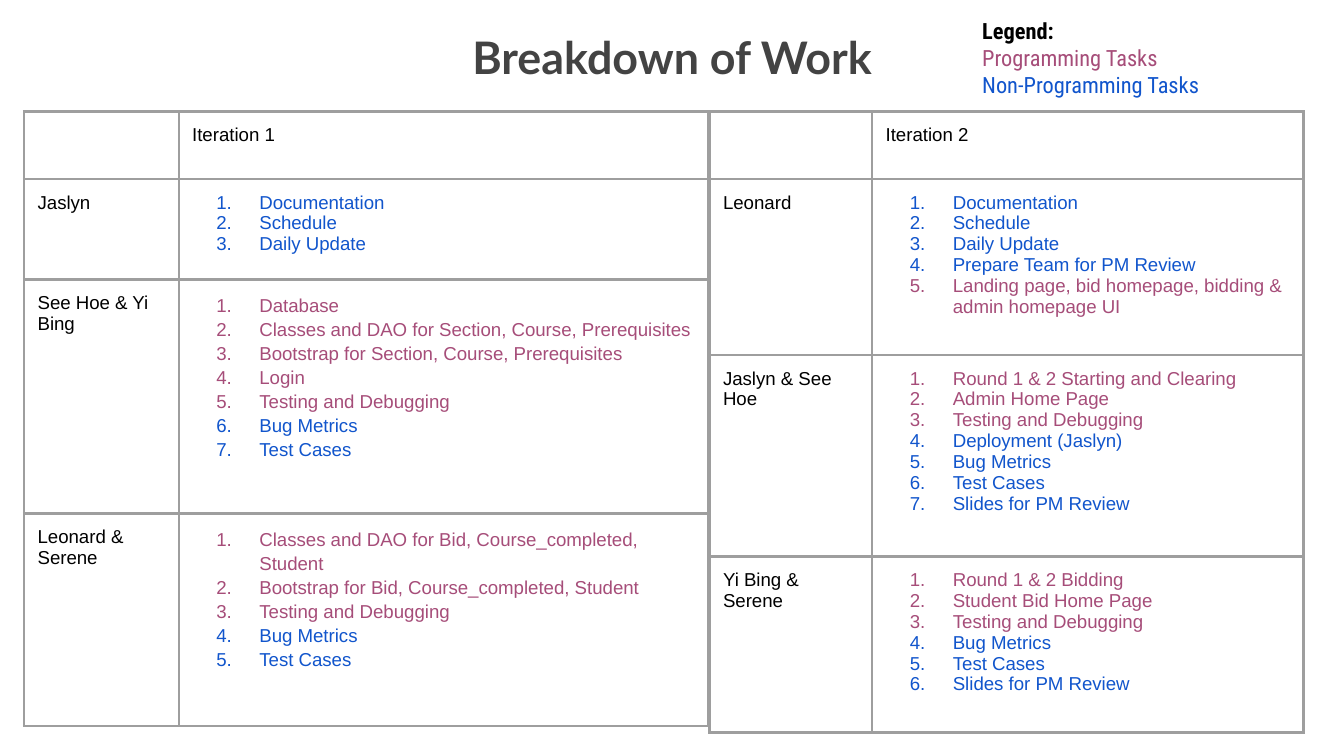
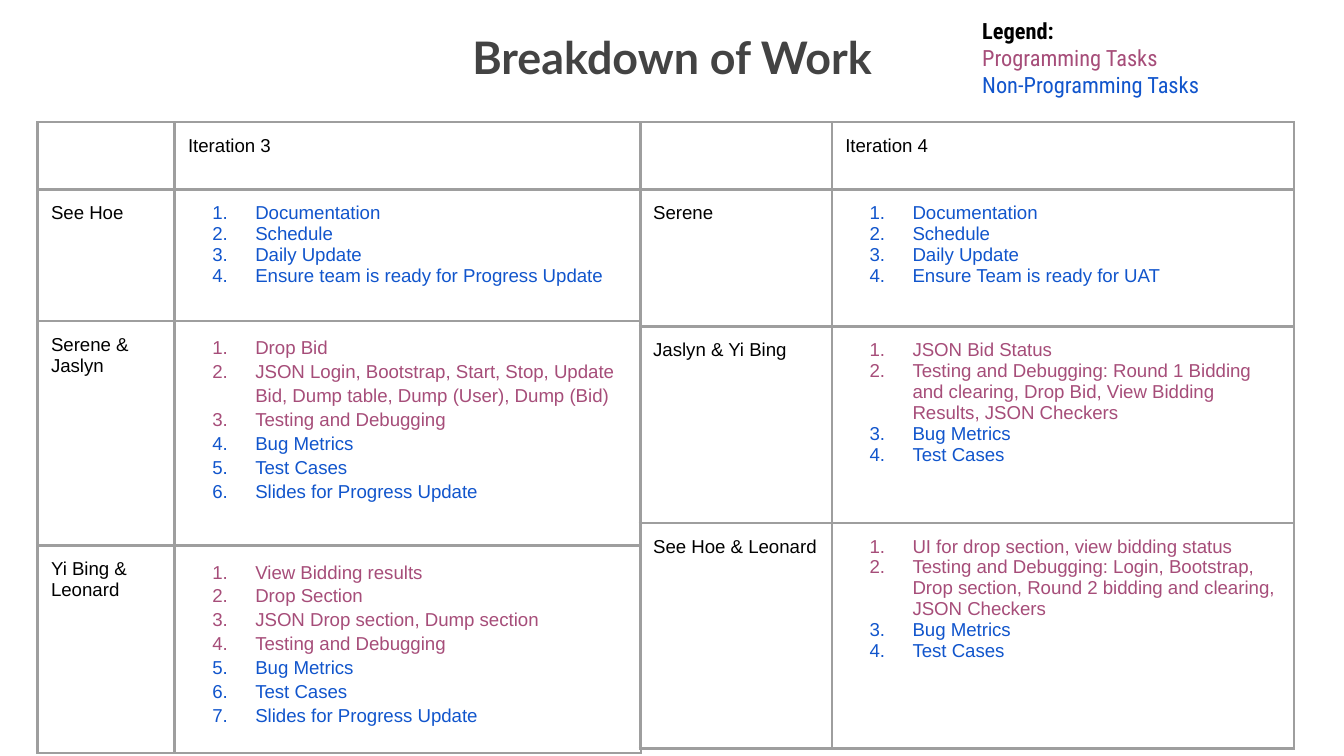
import pptx
import pptx.dml.color
import pptx.enum.text
import pptx.oxml
import pptx.oxml.ns
import pptx.util
import lxml.etree

Inches = pptx.util.Inches
Pt = pptx.util.Pt
qn = pptx.oxml.ns.qn

# Shared colours and measures
BLACK, TITLE, GRID = "000000", "434343", "9E9E9E"
CODE, OTHER = "A64D79", "1155CC"
PAD = Inches(0.1)
FRAME = Inches(3.28)
EDGE = (
    '<a:{side} xmlns:a="http://schemas.openxmlformats.org/drawingml/2006/main" w="19050">'
    '<a:solidFill><a:srgbClr val="{tint}"/></a:solidFill></a:{side}>'
)


def hue(code):
    return pptx.dml.color.RGBColor.from_string(code)


def write(frame, text, size=10, font="Arial", tint=BLACK, bold=False,
          center=False, space=None, number=False):
    """Add one paragraph, filling the first one if it is still empty."""
    para = frame.paragraphs[0]
    if para.runs:
        para = frame.add_paragraph()
    run = para.add_run()
    run.text = text
    run.font.size = Pt(size)
    run.font.name = font
    run.font.bold = bold
    run.font.color.rgb = hue(tint)
    if center:
        para.alignment = pptx.enum.text.PP_ALIGN.CENTER
    if space:
        para.line_spacing = space
    if number:
        props = para._p.get_or_add_pPr()
        props.set("marL", str(Inches(0.5)))
        props.set("indent", str(Inches(-0.32)))
        color = lxml.etree.SubElement(props, qn("a:buClr"))
        lxml.etree.SubElement(color, qn("a:srgbClr"), val=tint)
        lxml.etree.SubElement(props, qn("a:buAutoNum"), type="arabicPeriod")


# Tasks that recur
DAILY = ["Documentation", "Schedule", "Daily Update"]
TESTS = ["Bug Metrics", "Test Cases"]
DEBUG = "Testing and Debugging"
REVIEW = "Slides for PM Review"
UPDATE = "Slides for Progress Update"

# One list of tables per slide; each row holds a name and coloured task groups
SLIDES = [
    [
        dict(head="Iteration 1", left=0.18, top=0.83, space=1.15,
             cols=[1.15, 3.94], rows=[0.46, 0.75, 1.74, 1.58], work=[
            ("Jaslyn", [(OTHER, DAILY)]),
            ("See Hoe & Yi Bing", [
                (CODE, ["Database",
                        "Classes and DAO for Section, Course, Prerequisites",
                        "Bootstrap for Section, Course, Prerequisites",
                        "Login", DEBUG]),
                (OTHER, TESTS)]),
            ("Leonard & Serene", [
                (CODE, ["Classes and DAO for Bid, Course_completed, Student",
                        "Bootstrap for Bid, Course_completed, Student", DEBUG]),
                (OTHER, TESTS)]),
        ]),
        dict(head="Iteration 2", left=5.28, top=0.83, space=None,
             cols=[1.21, 3.21], rows=[0.41, 1.31, 1.5, 1.31], work=[
            ("Leonard", [
                (OTHER, DAILY + ["Prepare Team for PM Review"]),
                (CODE, ["Landing page, bid homepage, bidding & admin homepage UI"])]),
            ("Jaslyn & See Hoe", [
                (CODE, ["Round 1 & 2 Starting and Clearing", "Admin Home Page", DEBUG]),
                (OTHER, ["Deployment (Jaslyn)"] + TESTS + [REVIEW])]),
            ("Yi Bing & Serene", [
                (CODE, ["Round 1 & 2 Bidding", "Student Bid Home Page", DEBUG]),
                (OTHER, TESTS + [REVIEW])]),
        ]),
    ],
    [
        dict(head="Iteration 3", left=0.28, top=0.91, space=1.15,
             cols=[1.02, 3.47], rows=[0.4, 0.98, 1.67, 1.48], work=[
            ("See Hoe", [(OTHER, DAILY + ["Ensure team is ready for Progress Update"])]),
            ("Serene & Jaslyn", [
                (CODE, ["Drop Bid",
                        "JSON Login, Bootstrap, Start, Stop, Update Bid, "
                        "Dump table, Dump (User), Dump (Bid)", DEBUG]),
                (OTHER, TESTS + [UPDATE])]),
            ("Yi Bing & Leonard", [
                (CODE, ["View Bidding results", "Drop Section",
                        "JSON Drop section, Dump section", DEBUG]),
                (OTHER, TESTS + [UPDATE])]),
        ]),
        dict(head="Iteration 4", left=4.76, top=0.91, space=None,
             cols=[1.43, 3.44], rows=[0.4, 1.02, 1.46, 1.68], work=[
            ("Serene", [(OTHER, DAILY + ["Ensure Team is ready for UAT"])]),
            ("Jaslyn & Yi Bing", [
                (CODE, ["JSON Bid Status",
                        DEBUG + ": Round 1 Bidding and clearing, Drop Bid, "
                        "View Bidding Results, JSON Checkers"]),
                (OTHER, TESTS)]),
            ("See Hoe & Leonard", [
                (CODE, ["UI for drop section, view bidding status",
                        DEBUG + ": Login, Bootstrap, Drop section, "
                        "Round 2 bidding and clearing, JSON Checkers"]),
                (OTHER, TESTS)]),
        ]),
    ],
]

# Title and legend, the same on each slide
BOXES = [
    ((2.15, 0.12, 5.7, 0.6), [
        ("Breakdown of Work",
         dict(size=24, font="Lato", tint=TITLE, bold=True, center=True))]),
    ((7.21, 0.03, 2.07, 0.72), [
        (text, dict(size=12, font="Roboto Condensed", tint=tint, bold=bold))
        for text, tint, bold in [("Legend:", BLACK, True),
                                 ("Programming Tasks", CODE, False),
                                 ("Non-Programming Tasks", OTHER, False)]]),
]

# Widescreen 16:9
deck = pptx.Presentation()
deck.slide_width = Inches(10)
deck.slide_height = deck.slide_width * 9 // 16

for plans in SLIDES:
    slide = deck.slides.add_slide(deck.slide_layouts[6])

    for place, lines in BOXES:
        frame = slide.shapes.add_textbox(*map(Inches, place)).text_frame
        frame.word_wrap = True
        frame.margin_left = frame.margin_right = PAD
        frame.margin_top = frame.margin_bottom = PAD
        for text, form in lines:
            write(frame, text, **form)

    for plan in plans:
        cols, rows = plan["cols"], plan["rows"]
        shape = slide.shapes.add_table(
            len(rows), len(cols), Inches(plan["left"]), Inches(plan["top"]),
            FRAME, FRAME)
        table = shape.table
        table.first_row = table.horz_banding = False
        for col, width in zip(table.columns, cols):
            col.width = Inches(width)
        for row, height in zip(table.rows, rows):
            row.height = Inches(height)
        shape.width = shape.height = FRAME

        # Plain cells with a grey grid
        for cell in table.iter_cells():
            cell.margin_left = cell.margin_right = PAD
            cell.margin_top = cell.margin_bottom = PAD
            props = cell._tc.get_or_add_tcPr()
            for side in ("lnL", "lnR", "lnT", "lnB"):
                props.append(pptx.oxml.parse_xml(EDGE.format(side=side, tint=GRID)))
            cell.fill.background()

        # The empty corner takes its height from the same font
        blank = table.cell(0, 0).text_frame.paragraphs[0]._p
        end = lxml.etree.SubElement(blank, qn("a:endParaRPr"), sz="1800")
        lxml.etree.SubElement(end, qn("a:latin"), typeface="Arial")

        # Heading, names and numbered tasks
        write(table.cell(0, 1).text_frame, plan["head"])
        for line, (name, groups) in enumerate(plan["work"], 1):
            write(table.cell(line, 0).text_frame, name)
            space = plan["space"] if line > 1 else None
            for tint, tasks in groups:
                for task in tasks:
                    write(table.cell(line, 1).text_frame, task,
                          tint=tint, space=space, number=True)

deck.save("out.pptx")
